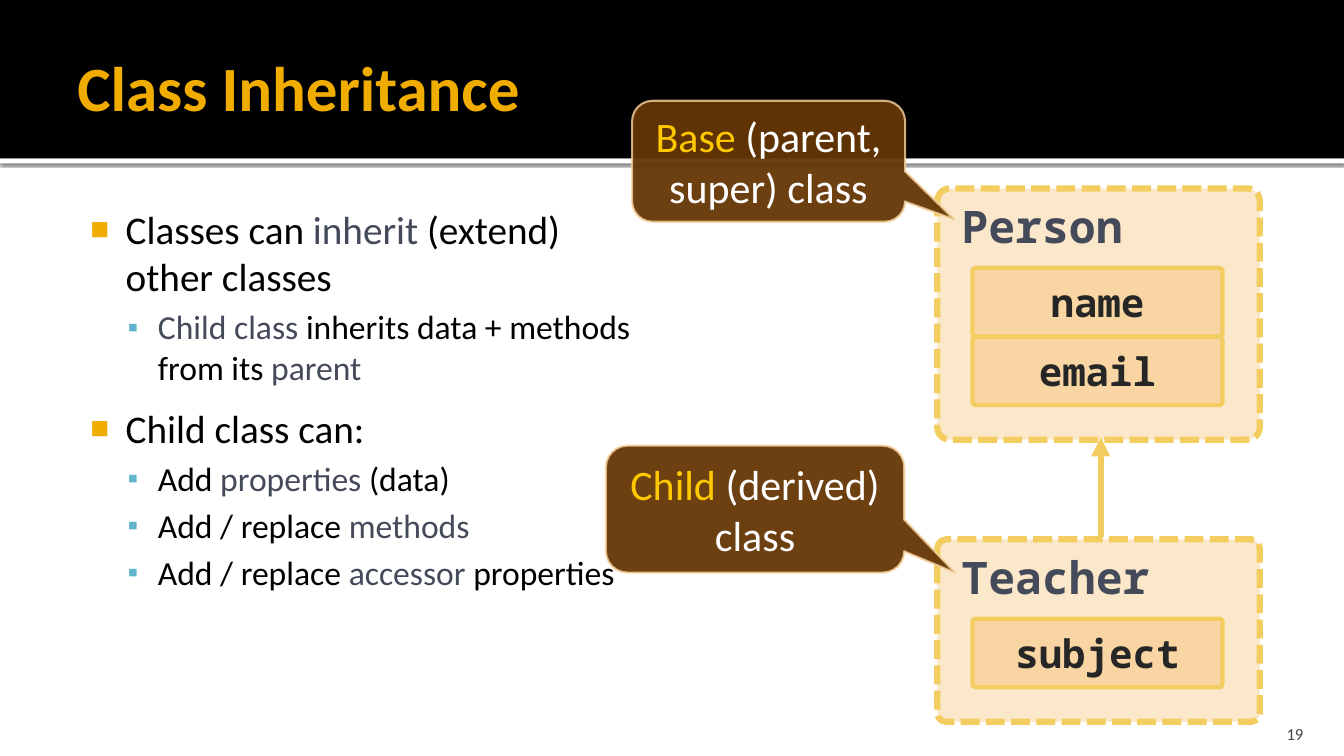
from lxml import etree
from pptx import Presentation
from pptx import util as u
from pptx.dml.color import RGBColor
from pptx.enum import dml, shapes, text
from pptx.oxml import ns

BLACK = RGBColor(0x00, 0x00, 0x00)
WHITE = RGBColor(0xFF, 0xFF, 0xFF)
GOLD = RGBColor(0xF0, 0xAD, 0x00)
YELLOW = RGBColor(0xFF, 0xC8, 0x00)
SLATE = RGBColor(0x44, 0x4A, 0x5A)
GRAY = RGBColor(0x45, 0x45, 0x45)
INK = RGBColor(0x26, 0x26, 0x26)
AMBER = RGBColor(0xF0, 0xA2, 0x2E)
BORDER = RGBColor(0xF3, 0xCD, 0x60)
BROWN = RGBColor(0x66, 0x36, 0x06)
CREAM = RGBColor(0xF8, 0xD4, 0x9E)
BLUE = RGBColor(0x60, 0xB5, 0xCC)

SANS = "Calibri"
MONO = "Noto Sans Mono"
PAGE_WIDTH = 33.87
FIELD_HEIGHT = 1.73
LEVELS = [("■", GOLD, 80, 28, 1.22, 0.89), ("▪", BLUE, 90, 24, 2.03, 0.76)]
BULLETS = [
    (0, 0, [("Classes can ", BLACK), ("inherit", SLATE), (" (extend) other classes", BLACK)]),
    (1, 4.8, [("Child class ", SLATE), ("inherits data + methods from its ", BLACK),
              ("parent", SLATE)]),
    (0, 12, [("Child class can:", BLACK)]),
    (1, 4.8, [("Add ", BLACK), ("properties", SLATE), (" (data)", BLACK)]),
    (1, 4.8, [("Add / replace ", BLACK), ("methods", SLATE)]),
    (1, 4.8, [("Add / replace ", BLACK), ("accessor", SLATE), (" properties", BLACK)]),
]


def add_xml(parent, tag, **attributes):
    """Append a DrawingML element and return it."""
    return etree.SubElement(parent, ns.qn(tag), attributes)


def set_alpha(parent, percent):
    """Make the solid fill inside an element partly transparent."""
    color = parent.find(ns.qn("a:solidFill")).find(ns.qn("a:srgbClr"))
    add_xml(color, "a:alpha", val=str(percent * 1000))


def add_block(page, kind, area, fill, alpha=100, line=None, width=0):
    """Add a filled preset shape, outlined if a line colour is given."""
    block = page.shapes.add_shape(kind, *map(u.Cm, area))
    block.shadow.inherit = False
    block.fill.solid()
    block.fill.fore_color.rgb = fill
    if alpha < 100:
        set_alpha(block._element.spPr, alpha)
    if line is None:
        block.line.fill.background()
    else:
        block.line.color.rgb = line
        block.line.width = u.Pt(width)
    return block


def fill_paragraph(para, spans, size, name=SANS, bold=False, align=None):
    """Write coloured spans into a paragraph of one font."""
    para.font.size = u.Pt(size)
    para.font.name = name
    para.font.bold = bold
    para.alignment = align
    for words, color in spans:
        span = para.add_run()
        span.text = words
        span.font.color.rgb = color


def set_frame(frame, anchor, insets=(0.25, 0.13, 0.25, 0.13)):
    """Set wrapping, anchor and insets of a text frame."""
    frame.word_wrap = True
    frame.vertical_anchor = anchor
    frame.margin_left, frame.margin_top, frame.margin_right, frame.margin_bottom = map(u.Cm, insets)


def add_text(page, area, spans, size, anchor=text.MSO_ANCHOR.TOP,
             insets=(0.25, 0.13, 0.25, 0.13), **style):
    """Add a text box with one paragraph."""
    box = page.shapes.add_textbox(*map(u.Cm, area))
    set_frame(box.text_frame, anchor, insets)
    fill_paragraph(box.text_frame.paragraphs[0], spans, size, **style)


def add_header(page):
    """Draw the black band, its shadowed edge and the title."""
    strip = add_block(page, shapes.MSO_SHAPE.RECTANGLE, (0, 3.99, PAGE_WIDTH, 0.13), WHITE)
    effects = strip._element.spPr.find(ns.qn("a:effectLst"))
    shadow = add_xml(effects, "a:outerShdw", blurRad=str(u.Pt(2.5)), dist=str(u.Pt(0.8)),
                     dir="5400000", algn="t", rotWithShape="0")
    color = add_xml(shadow, "a:srgbClr", val=str(BLACK))
    add_xml(color, "a:alpha", val="60000")
    add_block(page, shapes.MSO_SHAPE.RECTANGLE, (0, 0, PAGE_WIDTH, 3.99), BLACK)
    add_text(page, (1.7, 0.43, 30.48, 3.48), [("Class Inheritance", GOLD)], 45,
             text.MSO_ANCHOR.MIDDLE, (0.25, 0.13, 0.13, 0.13), bold=True)


def add_bullets(page):
    """Write the two-level bullet list."""
    box = page.shapes.add_textbox(*map(u.Cm, (1.7, 4.93, 14.96, 12.85)))
    frame = box.text_frame
    set_frame(frame, text.MSO_ANCHOR.TOP, (0.25, 0.25, 0.25, 0.13))
    for index, (level, space, spans) in enumerate(BULLETS):
        para = frame.add_paragraph() if index else frame.paragraphs[0]
        mark, color, scale, size, margin, hanging = LEVELS[level]
        para.level = level
        para.space_before = u.Pt(space)
        properties = para._p.get_or_add_pPr()
        properties.set("marL", str(u.Cm(margin)))
        properties.set("indent", str(-u.Cm(hanging)))
        add_xml(add_xml(properties, "a:buClr"), "a:srgbClr", val=str(color))
        add_xml(properties, "a:buSzPct", val=str(scale * 1000))
        add_xml(properties, "a:buFont", typeface="Arial")
        add_xml(properties, "a:buChar", char=mark)
        fill_paragraph(para, spans, size)


def add_class_card(page, top, name, fields):
    """Draw a dashed class card with its name and stacked fields."""
    rounded = shapes.MSO_SHAPE.ROUNDED_RECTANGLE
    height = 2.87 + FIELD_HEIGHT * len(fields)
    card = add_block(page, rounded, (23.62, top, 8.13, height), AMBER, 25, BORDER, 4.5)
    card.adjustments[0] = 0.05
    card.line.dash_style = dml.MSO_LINE.SQUARE_DOT
    add_text(page, (23.98, top + 0.14, 6, 1.63), [(name, SLATE)], 32, name=MONO, bold=True)
    for index, field in enumerate(fields):
        area = (24.51, top + 2 + index * FIELD_HEIGHT, 6.3, FIELD_HEIGHT)
        box = add_block(page, rounded, area, AMBER, 25, BORDER, 3)
        box.adjustments[0] = 0.05
        set_frame(box.text_frame, text.MSO_ANCHOR.MIDDLE)
        fill_paragraph(box.text_frame.paragraphs[0], [(field, INK)], 28, MONO, True,
                       text.PP_ALIGN.CENTER)


def add_callout(page, area, pointer, key, rest):
    """Draw a brown callout whose first word is highlighted."""
    kind = shapes.MSO_SHAPE.ROUNDED_RECTANGULAR_CALLOUT
    callout = add_block(page, kind, area, BROWN, 95, CREAM, 1.5)
    set_alpha(callout._element.spPr.find(ns.qn("a:ln")), 80)
    for index, value in enumerate((*pointer, 0.17)):
        callout.adjustments[index] = value
    set_frame(callout.text_frame, text.MSO_ANCHOR.MIDDLE)
    fill_paragraph(callout.text_frame.paragraphs[0], [(key, YELLOW), (rest, WHITE)], 30,
                   align=text.PP_ALIGN.CENTER)


def add_arrow(page, x, start, end):
    """Draw a vertical arrow."""
    arrow = page.shapes.add_connector(shapes.MSO_CONNECTOR.STRAIGHT,
                                      u.Cm(x), u.Cm(start), u.Cm(x), u.Cm(end))
    arrow.line.color.rgb = BORDER
    arrow.line.width = u.Pt(4.5)
    properties = arrow._element.spPr
    add_xml(properties.find(ns.qn("a:ln")), "a:tailEnd", type="triangle")
    add_xml(properties, "a:effectLst")


def main():
    """Build the slide and save it."""
    deck = Presentation()
    deck.slide_width, deck.slide_height = u.Cm(PAGE_WIDTH), u.Cm(19.05)
    page = deck.slides.add_slide(deck.slide_layouts[6])
    add_header(page)
    add_bullets(page)
    add_text(page, (30.38, 17.98, 2.72, 0.76), [("19", GRAY)], 12, text.MSO_ANCHOR.BOTTOM,
             (0.25, 0.13, 0.25, 0), align=text.PP_ALIGN.RIGHT)
    add_class_card(page, 4.75, "Person", ["name", "email"])
    add_class_card(page, 13.59, "Teacher", ["subject"])
    add_callout(page, (15.93, 2.54, 6.88, 3.05), (0.68, 0.48), "Base ", "(parent, super) class")
    add_callout(page, (15.27, 11.23, 7.52, 3.2), (0.67, 0.5), "Child ", "(derived) class")
    add_arrow(page, 27.74, 13.54, 11.02)
    deck.save("out.pptx")


main()
